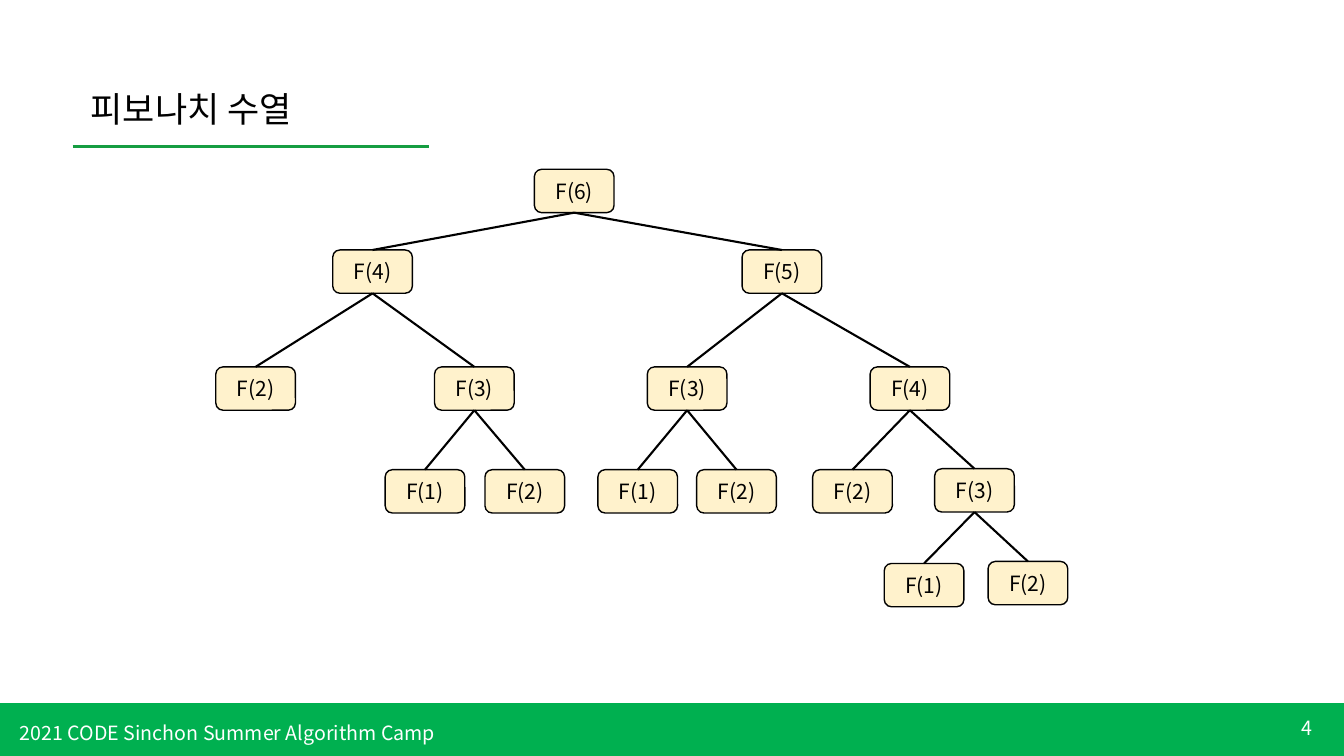
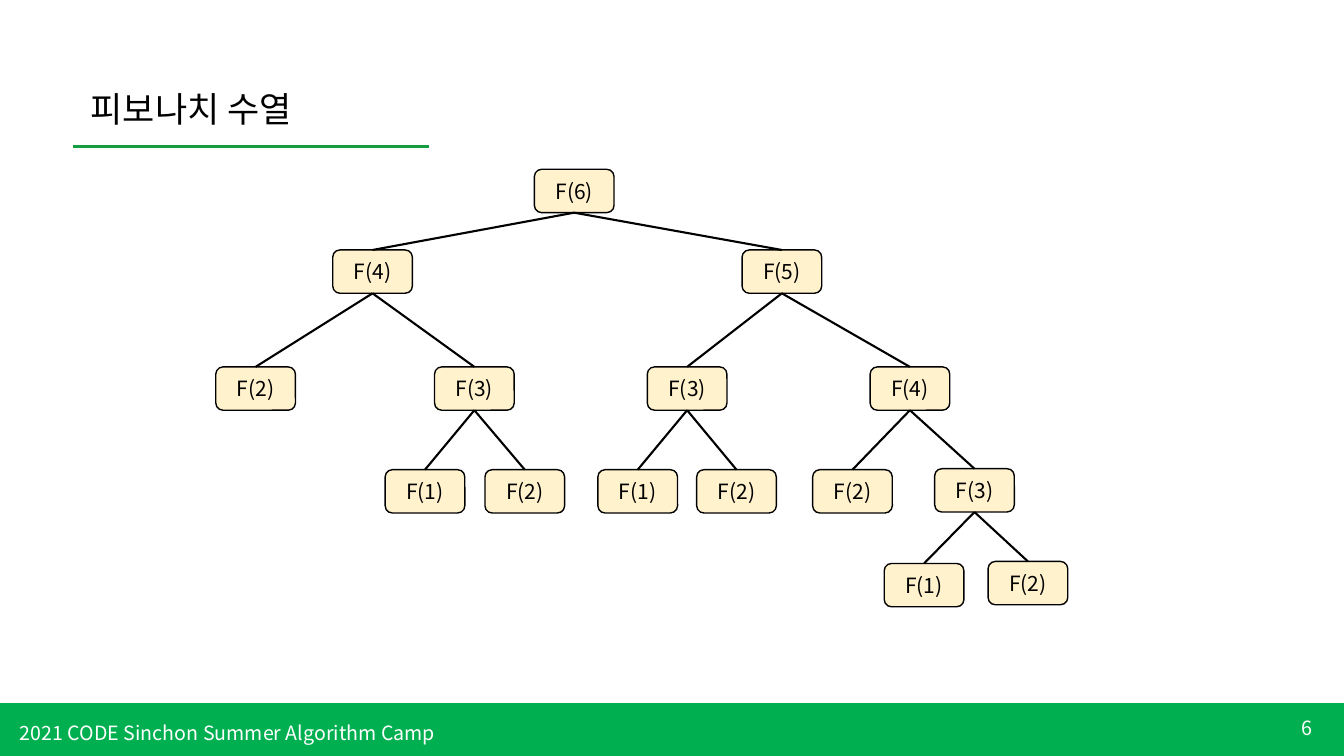
from dataclasses import dataclass

from lxml import etree
from pptx import Presentation
from pptx.dml.color import RGBColor
from pptx.enum.shapes import MSO_CONNECTOR, MSO_SHAPE
from pptx.enum.text import MSO_ANCHOR, MSO_AUTO_SIZE, PP_ALIGN
from pptx.oxml.ns import qn
from pptx.shapes.autoshape import Shape
from pptx.shapes.connector import Connector
from pptx.slide import Slide
from pptx.util import Inches, Pt

STRAIGHT = MSO_CONNECTOR.STRAIGHT
RECTANGLE, ROUNDED = MSO_SHAPE.RECTANGLE, MSO_SHAPE.ROUNDED_RECTANGLE
TOP, MIDDLE = MSO_ANCHOR.TOP, MSO_ANCHOR.MIDDLE
LEFT, CENTER, RIGHT = PP_ALIGN.LEFT, PP_ALIGN.CENTER, PP_ALIGN.RIGHT
NO_AUTO_SIZE = MSO_AUTO_SIZE.NONE
TOP_SIDE, BOTTOM_SIDE = 0, 2
TITLE_ONLY = 5


@dataclass(frozen=True)
class Theme:
    font: str = "Noto Sans CJK KR"
    ink: RGBColor = RGBColor(0x00, 0x00, 0x00)
    paper: RGBColor = RGBColor(0xFF, 0xFF, 0xFF)
    band: RGBColor = RGBColor(0x00, 0xB0, 0x50)
    rule: RGBColor = RGBColor(0x15, 0x9D, 0x41)
    node: RGBColor = RGBColor(0xFF, 0xF2, 0xCC)
    title_size: float = 25
    node_size: float = 15
    footer_size: float = 14
    outline: float = 1
    edge: float = 1.5
    title_rule: float = 2.25


@dataclass(frozen=True)
class Call:
    """One call F(n) in the recursion tree, with its top left corner."""
    n: int
    left: float
    top: float
    children: tuple["Call", ...] = ()


THEME = Theme()
WIDTH, HEIGHT = 13.33, 7.5
NODE_WIDTH, NODE_HEIGHT = 0.79, 0.43
TITLE = "피보나치 수열"
FOOTER = "2021 CODE Sinchon Summer Algorithm Camp"
PAGE_NUMBERS = (4, 6)

TREE = Call(6, 5.3, 1.68, (
    Call(4, 3.3, 2.48, (
        Call(2, 2.14, 3.64),
        Call(3, 4.31, 3.64, (Call(1, 3.82, 4.66), Call(2, 4.81, 4.66))),
    )),
    Call(5, 7.36, 2.48, (
        Call(3, 6.42, 3.64, (Call(1, 5.93, 4.66), Call(2, 6.91, 4.66))),
        Call(4, 8.63, 3.64, (
            Call(2, 8.06, 4.66),
            Call(3, 9.27, 4.65, (Call(1, 8.77, 5.59), Call(2, 9.8, 5.57))),
        )),
    )),
))


def write(box: Shape, text: str, size: float, color: RGBColor,
          align: PP_ALIGN = LEFT, anchor: MSO_ANCHOR = TOP) -> None:
    frame = box.text_frame
    frame.text = text
    frame.word_wrap = True
    frame.auto_size = NO_AUTO_SIZE
    frame.vertical_anchor = anchor
    para = frame.paragraphs[0]
    para.alignment = align
    for span in para.runs:
        span.font.name = THEME.font
        span.font.size = Pt(size)
        span.font.color.rgb = color
        # Korean glyphs take the East Asian typeface
        east_asian = etree.SubElement(span.font._element, qn("a:ea"))
        east_asian.set("typeface", THEME.font)


def add_box(page: Slide, kind: MSO_SHAPE, left: float, top: float, width: float,
            height: float, fill: RGBColor, line: RGBColor) -> Shape:
    box = page.shapes.add_shape(kind, Inches(left), Inches(top), Inches(width), Inches(height))
    box.shadow.inherit = False
    box.fill.solid()
    box.fill.fore_color.rgb = fill
    box.line.color.rgb = line
    box.line.width = Pt(THEME.outline)
    return box


def add_text(page: Slide, left: float, top: float, width: float, height: float,
             text: str, align: PP_ALIGN = LEFT, anchor: MSO_ANCHOR = TOP) -> None:
    box = page.shapes.add_textbox(Inches(left), Inches(top), Inches(width), Inches(height))
    write(box, text, THEME.footer_size, THEME.paper, align, anchor)


def style_line(line: Connector, color: RGBColor, width: float) -> None:
    line.line.color.rgb = color
    line.line.width = Pt(width)
    etree.SubElement(line._element.spPr, qn("a:effectLst"))


def add_frame(page: Slide, number: int) -> None:
    # Footer band
    add_box(page, RECTANGLE, 0, 6.98, WIDTH, HEIGHT - 6.98, THEME.band, THEME.band)
    add_text(page, 12.12, 7.02, 1, 0.4, str(number), RIGHT, MIDDLE)
    add_text(page, 0.1, 7.1, 5.76, 0.34, FOOTER)
    # Title and its rule
    title = page.shapes.title
    title.left, title.top = Inches(0.8), Inches(0.82)
    title.width, title.height = Inches(3.12), Inches(0.52)
    write(title, TITLE, THEME.title_size, THEME.ink)
    rule = page.shapes.add_connector(STRAIGHT, Inches(0.72), Inches(1.45),
                                     Inches(4.25), Inches(1.45))
    style_line(rule, THEME.rule, THEME.title_rule)


def add_tree(page: Slide, call: Call) -> Shape:
    """Draw a call and everything below it; return the box of the call."""
    box = add_box(page, ROUNDED, call.left, call.top, NODE_WIDTH, NODE_HEIGHT,
                  THEME.node, THEME.ink)
    write(box, f"F({call.n})", THEME.node_size, THEME.ink, CENTER, MIDDLE)
    for child in call.children:
        child_box = add_tree(page, child)
        edge = page.shapes.add_connector(STRAIGHT, 0, 0, 0, 0)
        edge.begin_connect(box, BOTTOM_SIDE)
        edge.end_connect(child_box, TOP_SIDE)
        style_line(edge, THEME.ink, THEME.edge)
    return box


def main() -> None:
    deck = Presentation()
    deck.slide_width, deck.slide_height = Inches(WIDTH), Inches(HEIGHT)
    for number in PAGE_NUMBERS:
        page = deck.slides.add_slide(deck.slide_layouts[TITLE_ONLY])
        add_frame(page, number)
        add_tree(page, TREE)
    deck.save("out.pptx")


if __name__ == "__main__":
    main()
